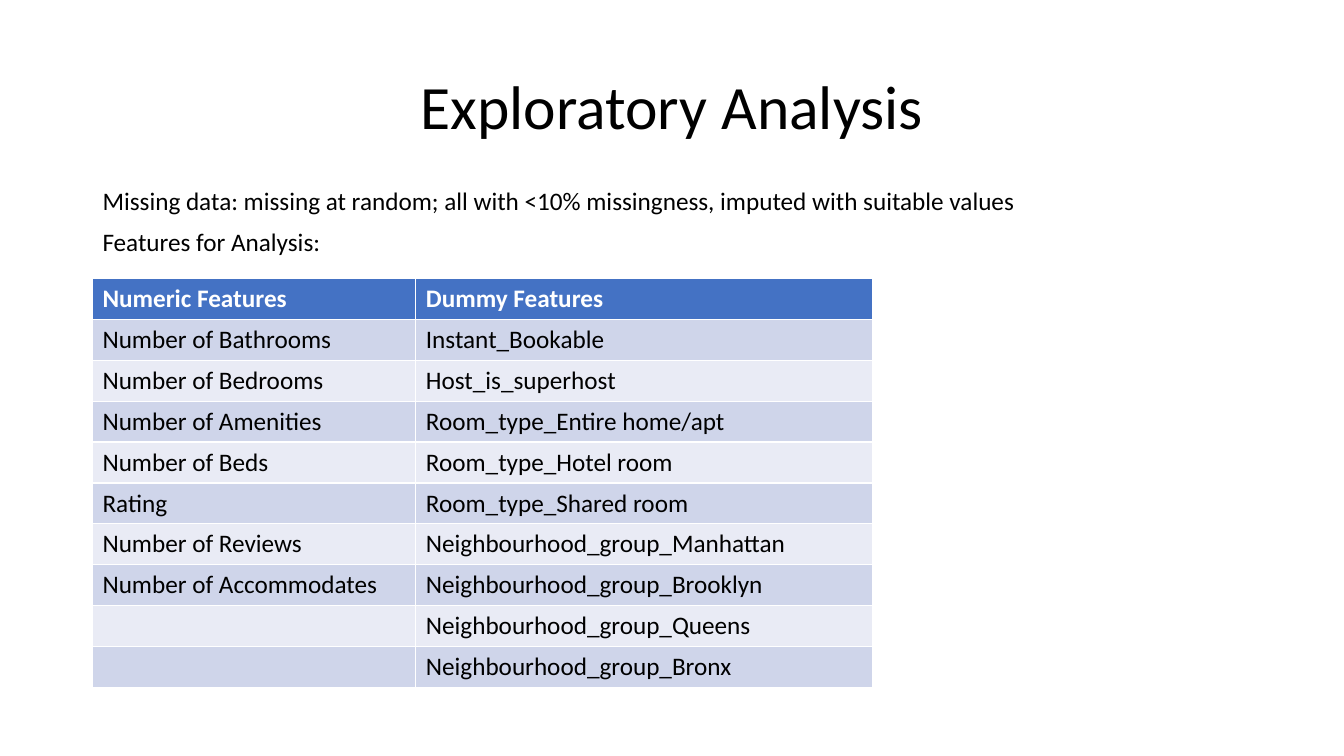
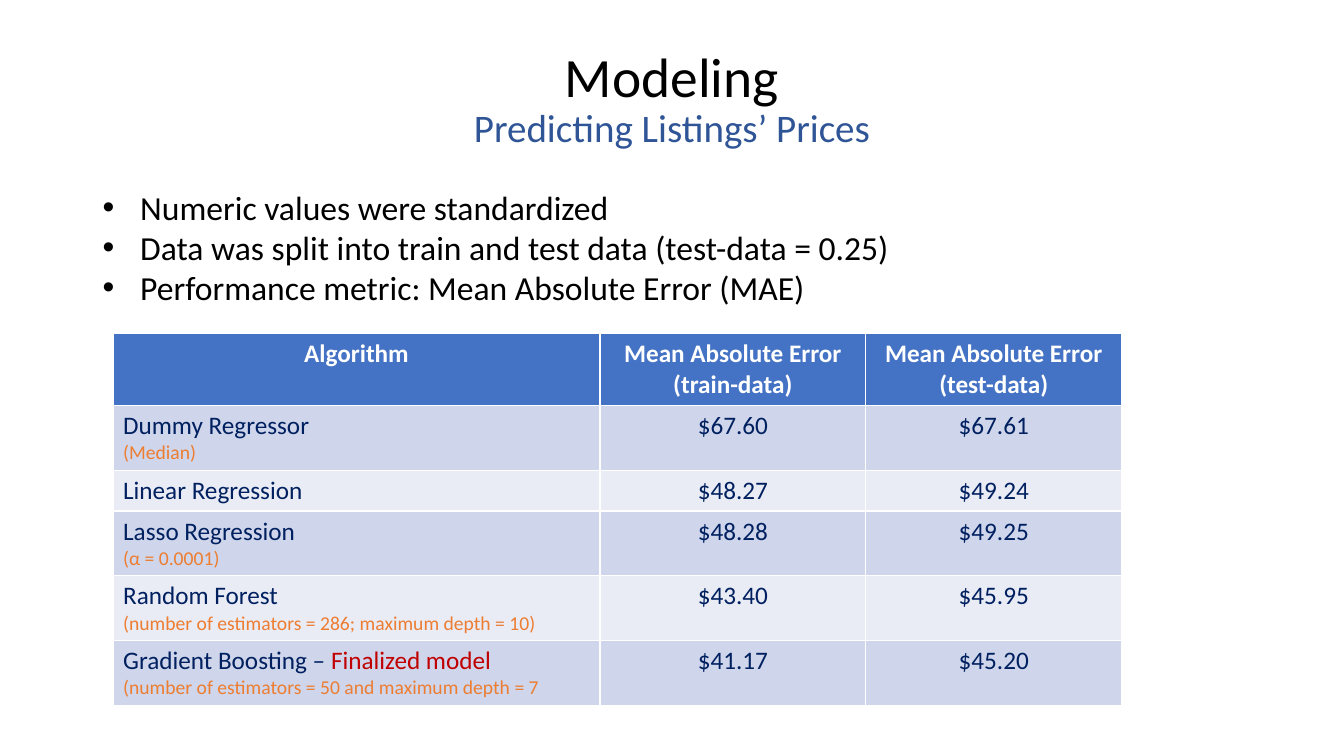
from pptx import Presentation
from pptx.dml.color import RGBColor
from pptx.enum import text
from pptx.oxml import xmlchemy as xc
from pptx.util import Cm, Pt

FONT = "Calibri"
BLACK = RGBColor(0x00, 0x00, 0x00)
WHITE = RGBColor(0xFF, 0xFF, 0xFF)
BLUE = RGBColor(0x44, 0x72, 0xC4)
BAND_DARK = RGBColor(0xCF, 0xD5, 0xEA)
BAND_LIGHT = RGBColor(0xE9, 0xEB, 0xF5)
SUBTITLE_BLUE = RGBColor(0x2F, 0x55, 0x97)
NAVY = RGBColor(0x00, 0x20, 0x60)
ORANGE = RGBColor(0xED, 0x7D, 0x31)
RED = RGBColor(0xC0, 0x00, 0x00)
MARGIN, CONTENT_WIDTH = 2.33, 29.21


def style(p, size, color, bold=False):
    for r in p.runs:
        r.font.name = FONT
        r.font.size = Pt(size)
        r.font.bold = bold
        r.font.color.rgb = color


def add_banded_table(s, rows, left, top, widths, heights, color):
    table = s.shapes.add_table(len(rows), len(widths), Cm(left), Cm(top),
                               Cm(sum(widths)), Cm(sum(heights))).table
    for column, width in zip(table.columns, widths):
        column.width = Cm(width)
    for i, (row, height) in enumerate(zip(rows, heights)):
        table.rows[i].height = Cm(height)
        fill = BLUE if i == 0 else BAND_DARK if i % 2 else BAND_LIGHT
        for j, value in enumerate(row):
            cell = table.cell(i, j)
            cell.fill.solid()
            cell.fill.fore_color.rgb = fill
            cell.text_frame.text = value
            for p in cell.text_frame.paragraphs:
                style(p, 18, color if i else WHITE, i == 0)
    return table


prs = Presentation()
prs.slide_width, prs.slide_height = Cm(33.87), Cm(19.05)

outline = [
    ("Exploratory Analysis", 44, 1.8, 3.68, text.MSO_ANCHOR.TOP,
     ["Missing data: missing at random; all with <10% missingness, "
      "imputed with suitable values",
      "Features for Analysis:"], 18, 3.78, 3.2),
    ("Modeling\nPredicting Listings’ Prices", 39.6, 1.02, 3.02, text.MSO_ANCHOR.MIDDLE,
     ["Numeric values were standardized",
      "Data was split into train and test data (test-data = 0.25)",
      "Performance metric: Mean Absolute Error (MAE)"], 24, 4.57, 3.33),
]
for title, title_size, title_top, title_height, anchor, lines, size, top, height in outline:
    s = prs.slides.add_slide(prs.slide_layouts[1])
    sp, body = s.shapes.title, s.placeholders[1]
    sp.left, sp.top = Cm(MARGIN), Cm(title_top)
    sp.width, sp.height = Cm(CONTENT_WIDTH), Cm(title_height)
    tf = sp.text_frame
    tf.text = title
    tf.auto_size = text.MSO_AUTO_SIZE.NONE
    tf.vertical_anchor = anchor
    for p in tf.paragraphs:
        p.alignment = text.PP_ALIGN.CENTER
        p.line_spacing = 0.9
        style(p, title_size, BLACK)

    body.left, body.top = Cm(MARGIN), Cm(top)
    body.width, body.height = Cm(CONTENT_WIDTH), Cm(height)
    tf = body.text_frame
    tf.text = "\n".join(lines)
    tf.auto_size = text.MSO_AUTO_SIZE.NONE
    for p in tf.paragraphs:
        p.space_before = Pt(0)
        p.line_spacing = 1.0
        style(p, size, BLACK)

exploratory, modeling = prs.slides

intro = exploratory.placeholders[1].text_frame.paragraphs
intro[0].line_spacing = 2.0
intro[1].line_spacing = 0.9
intro[1].space_before = Pt(10)
for p in intro:
    pPr = p._p.get_or_add_pPr()
    pPr.set("marL", "0")
    pPr.set("indent", "0")
    pPr.append(xc.OxmlElement("a:buNone"))

features = [
    ("Numeric Features", "Dummy Features"),
    ("Number of Bathrooms", "Instant_Bookable"),
    ("Number of Bedrooms", "Host_is_superhost"),
    ("Number of Amenities", "Room_type_Entire home/apt"),
    ("Number of Beds", "Room_type_Hotel room"),
    ("Rating", "Room_type_Shared room"),
    ("Number of Reviews", "Neighbourhood_group_Manhattan"),
    ("Number of Accommodates", "Neighbourhood_group_Brooklyn"),
    ("", "Neighbourhood_group_Queens"),
    ("", "Neighbourhood_group_Bronx"),
]
add_banded_table(exploratory, features, MARGIN, 7.02, [8.15, 11.51],
                 [1.03] * len(features), BLACK)

style(modeling.shapes.title.text_frame.paragraphs[1], 27.9, SUBTITLE_BLUE)
for p in modeling.placeholders[1].text_frame.paragraphs:
    pPr = p._p.get_or_add_pPr()
    pPr.set("marL", str(Cm(0.95)))
    pPr.set("indent", str(-Cm(0.95)))

results = [
    ("Algorithm", "Mean Absolute Error (train-data)", "Mean Absolute Error (test-data)"),
    ("Dummy Regressor\n(Median)", "$67.60", "$67.61"),
    ("Linear Regression", "$48.27", "$49.24"),
    ("Lasso Regression\n(α = 0.0001)", "$48.28", "$49.25"),
    ("Random Forest\n(number of estimators = 286; maximum depth = 10)", "$43.40", "$45.95"),
    ("Gradient Boosting – \n(number of estimators = 50 and maximum depth = 7", "$41.17", "$45.20"),
]
heights = [1.78] + [1.63 if "\n" in row[0] else 1.03 for row in results[1:]]
table = add_banded_table(modeling, results, 2.85, 8.41, [12.27, 6.7, 6.45], heights, NAVY)
for i in range(len(results)):
    for j in range(3):
        paragraphs = table.cell(i, j).text_frame.paragraphs
        if i == 0 or j > 0:
            paragraphs[0].alignment = text.PP_ALIGN.CENTER
        for p in paragraphs[1:]:
            style(p, 14, ORANGE)

p = table.cell(len(results) - 1, 0).text_frame.paragraphs[0]
r = p.add_run()
r.text = "Finalized model"
style(p, 18, NAVY)
r.font.color.rgb = RED

prs.save("out.pptx")
